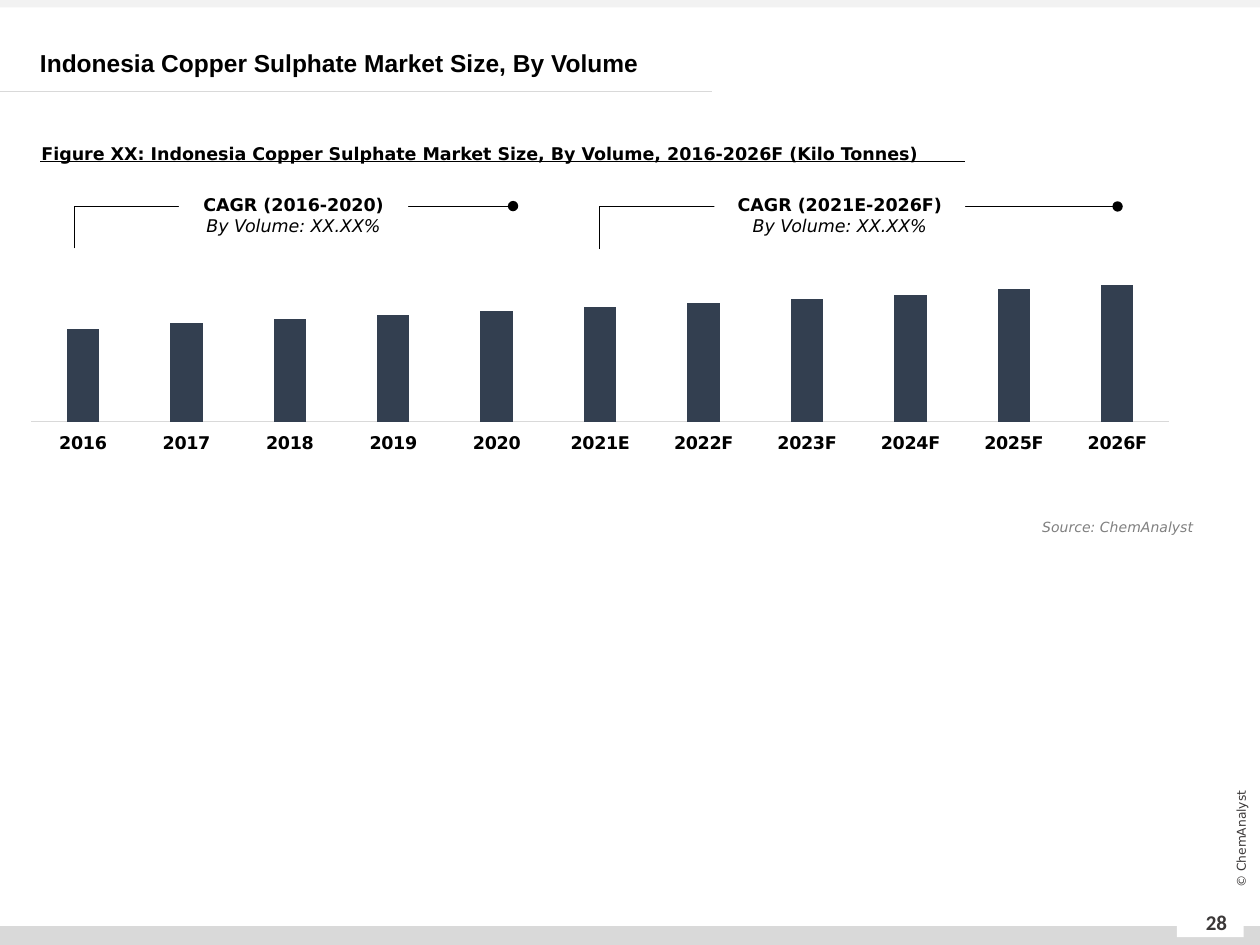
from dataclasses import dataclass
from lxml.etree import SubElement
from pptx import Presentation
from pptx.chart.data import CategoryChartData
from pptx.dml.color import RGBColor
from pptx.enum.chart import XL_CHART_TYPE, XL_TICK_LABEL_POSITION, XL_TICK_MARK
from pptx.enum.shapes import MSO_CONNECTOR, MSO_SHAPE
from pptx.enum.text import MSO_ANCHOR, MSO_AUTO_SIZE, PP_ALIGN
from pptx.oxml import parse_xml
from pptx.oxml.ns import nsdecls, qn
from pptx.util import Pt


@dataclass(frozen=True)
class Theme:
    black: str = "000000"
    white: str = "FFFFFF"
    bar: str = "333F50"
    rule: str = "D9D9D9"
    band: str = "F2F2F2"
    dark: str = "3B3838"
    muted: str = "808080"
    body: str = "DejaVu Sans"
    heading: str = "Arial"
    number: str = "Calibri"
    title_size: int = 14
    number_size: int = 12
    body_size: int = 10
    source_size: int = 8
    copyright_size: int = 7


class SlideBuilder:
    def __init__(self, slide, theme):
        self.slide = slide
        self.theme = theme

    def style(self, font, size, color, name=None, bold=False, italic=False):
        font.size = Pt(size)
        font.name = name or self.theme.body
        font.color.rgb = RGBColor.from_string(color)
        font.bold = bold
        font.italic = italic

    def block(self, left, top, width, height, color, shapes=None):
        shape = (shapes or self.slide.shapes).add_shape(
            MSO_SHAPE.RECTANGLE, Pt(left), Pt(top), Pt(width), Pt(height))
        shape.shadow.inherit = False
        shape.fill.solid()
        shape.fill.fore_color.rgb = RGBColor.from_string(color)
        shape.line.fill.background()
        return shape

    def text(self, left, top, width, height, wording, size, color,
             align=PP_ALIGN.LEFT, anchor=MSO_ANCHOR.TOP, spacing=None,
             grow=False, rotation=0, **face):
        box = self.slide.shapes.add_textbox(Pt(left), Pt(top), Pt(width), Pt(height))
        box.rotation = rotation
        frame = box.text_frame
        frame.word_wrap = True
        frame.vertical_anchor = anchor
        if grow:
            frame.auto_size = MSO_AUTO_SIZE.SHAPE_TO_FIT_TEXT
        paragraph = frame.paragraphs[0]
        paragraph.alignment = align
        paragraph.line_spacing = spacing
        run = paragraph.add_run()
        run.text = wording
        self.style(run.font, size, color, **face)

    def line(self, start, end, color, kind=MSO_CONNECTOR.STRAIGHT, shapes=None):
        connector = (shapes or self.slide.shapes).add_connector(
            kind, *(Pt(value) for value in (*start, *end)))
        connector.line.color.rgb = RGBColor.from_string(color)
        connector.line.width = Pt(0.5)
        SubElement(connector.element.spPr, qn("a:effectLst"))
        return connector

    def growth(self, start, end, label_left, label_width, period):
        shapes = self.slide.shapes.add_group_shape().shapes
        bracket = self.line(start, end, self.theme.black, MSO_CONNECTOR.ELBOW, shapes)
        adjustments = bracket.element.spPr.find(qn("a:prstGeom")).get_or_add_avLst()
        SubElement(adjustments, qn("a:gd"), name="adj1", fmla="val 0")
        SubElement(bracket.line._get_or_add_ln(), qn("a:tailEnd"), type="oval")

        label = self.block(label_left, 102.2, label_width, 41, self.theme.white, shapes)
        frame = label.text_frame
        frame.word_wrap = True
        frame.vertical_anchor = MSO_ANCHOR.MIDDLE
        rows = ((f"CAGR ({period})", True), ("By Volume: XX.XX%", False))
        for index, (wording, bold) in enumerate(rows):
            paragraph = frame.add_paragraph() if index else frame.paragraphs[0]
            paragraph.alignment = PP_ALIGN.CENTER
            run = paragraph.add_run()
            run.text = wording
            self.style(run.font, self.theme.body_size, self.theme.black,
                       bold=bold, italic=not bold)

    def columns(self, left, top, width, height, volumes):
        data = CategoryChartData(number_format="0.00")
        data.categories = list(volumes)
        data.add_series("Series 1", list(volumes.values()))
        chart = self.slide.shapes.add_chart(
            XL_CHART_TYPE.COLUMN_CLUSTERED,
            Pt(left), Pt(top), Pt(width), Pt(height), data).chart
        chart.has_legend = False
        chart.has_title = False
        self.style(chart.font, self.theme.body_size, self.theme.black)

        plot = chart.plots[0]
        plot.gap_width = 219
        plot.overlap = -27
        plot.vary_by_categories = False
        fill = plot.series[0].format.fill
        fill.solid()
        fill.fore_color.rgb = RGBColor.from_string(self.theme.bar)

        years = chart.category_axis
        years.major_tick_mark = XL_TICK_MARK.NONE
        years.minor_tick_mark = XL_TICK_MARK.NONE
        years.tick_label_position = XL_TICK_LABEL_POSITION.LOW
        years.format.line.color.rgb = RGBColor.from_string(self.theme.rule)
        years.format.line.width = Pt(0.75)
        self.style(years.tick_labels.font, self.theme.body_size,
                   self.theme.black, bold=True)
        scale = chart.value_axis
        scale.visible = False
        scale.has_major_gridlines = False
        scale.minimum_scale = 0
        scale.maximum_scale = 112

        area = chart.element.chart.plotArea
        for layout in area.findall(qn("c:layout")):
            area.remove(layout)
        bounds = (("x", 0), ("y", 0.16), ("w", 1), ("h", 0.584))
        area.insert(0, parse_xml(
            f'<c:layout {nsdecls("c")}><c:manualLayout><c:layoutTarget val="inner"/>'
            '<c:xMode val="edge"/><c:yMode val="edge"/>'
            + "".join(f'<c:{key} val="{value}"/>' for key, value in bounds)
            + "</c:manualLayout></c:layout>"))


def main():
    theme = Theme()
    deck = Presentation()
    deck.slide_width, deck.slide_height = Pt(720), Pt(540)
    page = SlideBuilder(deck.slides.add_slide(deck.slide_layouts[6]), theme)

    page.block(0, 529.2, 720, 10.8, theme.rule)
    page.block(0, 0, 720, 4.3, theme.band)
    page.block(672.5, 519.8, 38.2, 15.8, theme.white)
    page.line((0, 52), (406.8, 52), theme.rule)
    centred = {"align": PP_ALIGN.CENTER, "anchor": MSO_ANCHOR.MIDDLE}
    page.text(677.5, 512.6, 35.3, 28.8, "28", theme.number_size, theme.dark,
              name=theme.number, bold=True, **centred)
    page.text(666, 473.8, 86.4, 11.5, "© ChemAnalyst", theme.copyright_size,
              theme.dark, rotation=270, **centred)

    volumes = {"2016": 68, "2017": 72, "2018": 75, "2019": 78, "2020": 81,
               "2021E": 84, "2022F": 87, "2023F": 90, "2024F": 93,
               "2025F": 97, "2026F": 100}
    page.columns(17.5, 129.6, 650.9, 149.8, volumes)
    page.growth((342.7, 142.4), (638.6, 118), 408.2, 143.3, "2021E-2026F")
    page.growth((42.5, 142), (293.2, 117.8), 102.2, 131, "2016-2020")

    page.text(16.6, 72, 635, 23,
              "Figure XX: Indonesia Copper Sulphate Market Size, By Volume, "
              "2016-2026F (Kilo Tonnes)",
              theme.body_size, theme.black, spacing=1.5, grow=True, bold=True)
    page.line((23, 92.2), (551.5, 92.2), theme.black)
    page.text(15.8, 24.5, 702.7, 23,
              "Indonesia Copper Sulphate Market Size, By Volume",
              theme.title_size, theme.black, anchor=MSO_ANCHOR.MIDDLE,
              spacing=Pt(17), grow=True, name=theme.heading, bold=True)
    page.text(515.5, 293, 173.5, 17.3, "Source: ChemAnalyst", theme.source_size,
              theme.muted, align=PP_ALIGN.RIGHT, grow=True, italic=True)

    deck.save("out.pptx")


if __name__ == "__main__":
    main()
